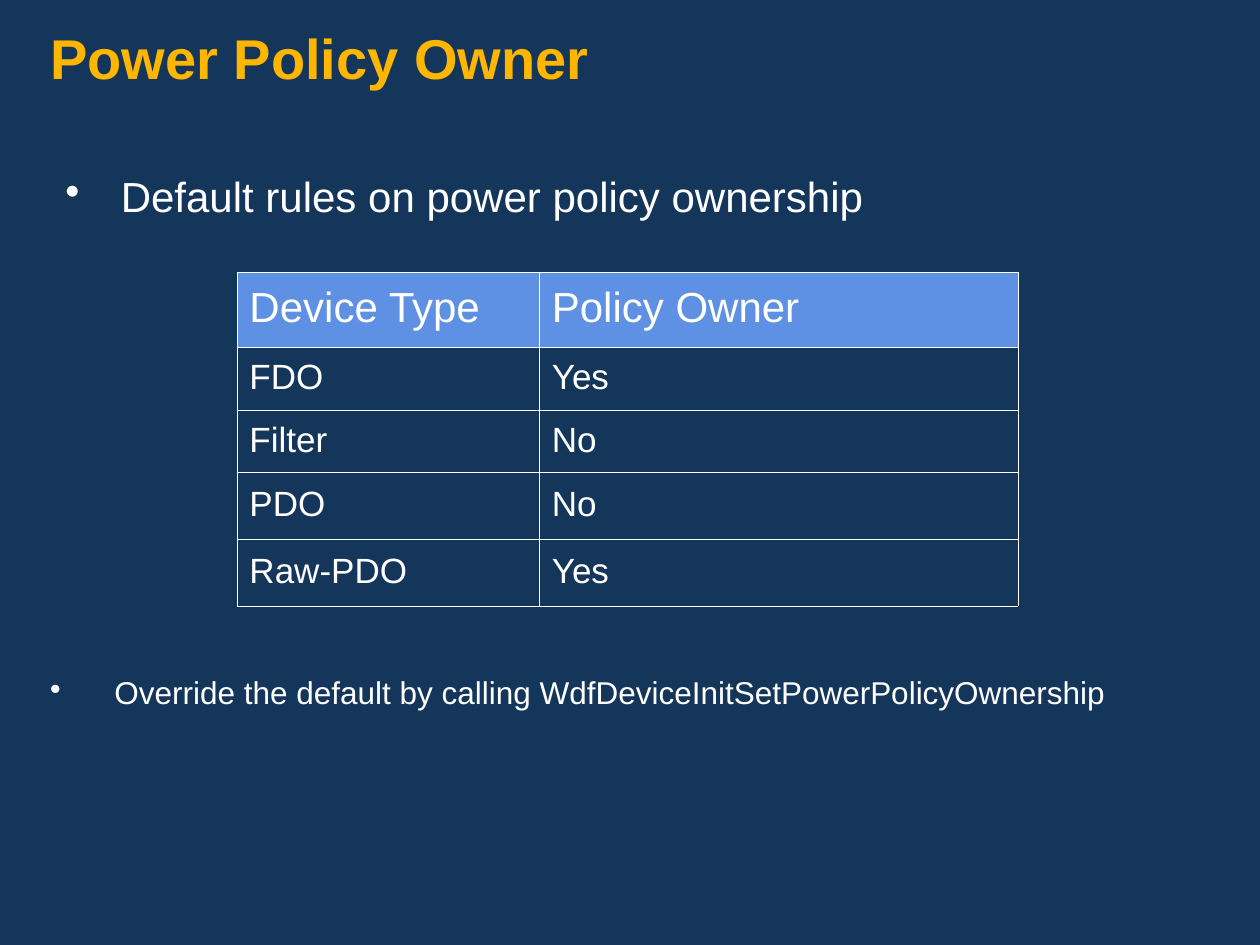
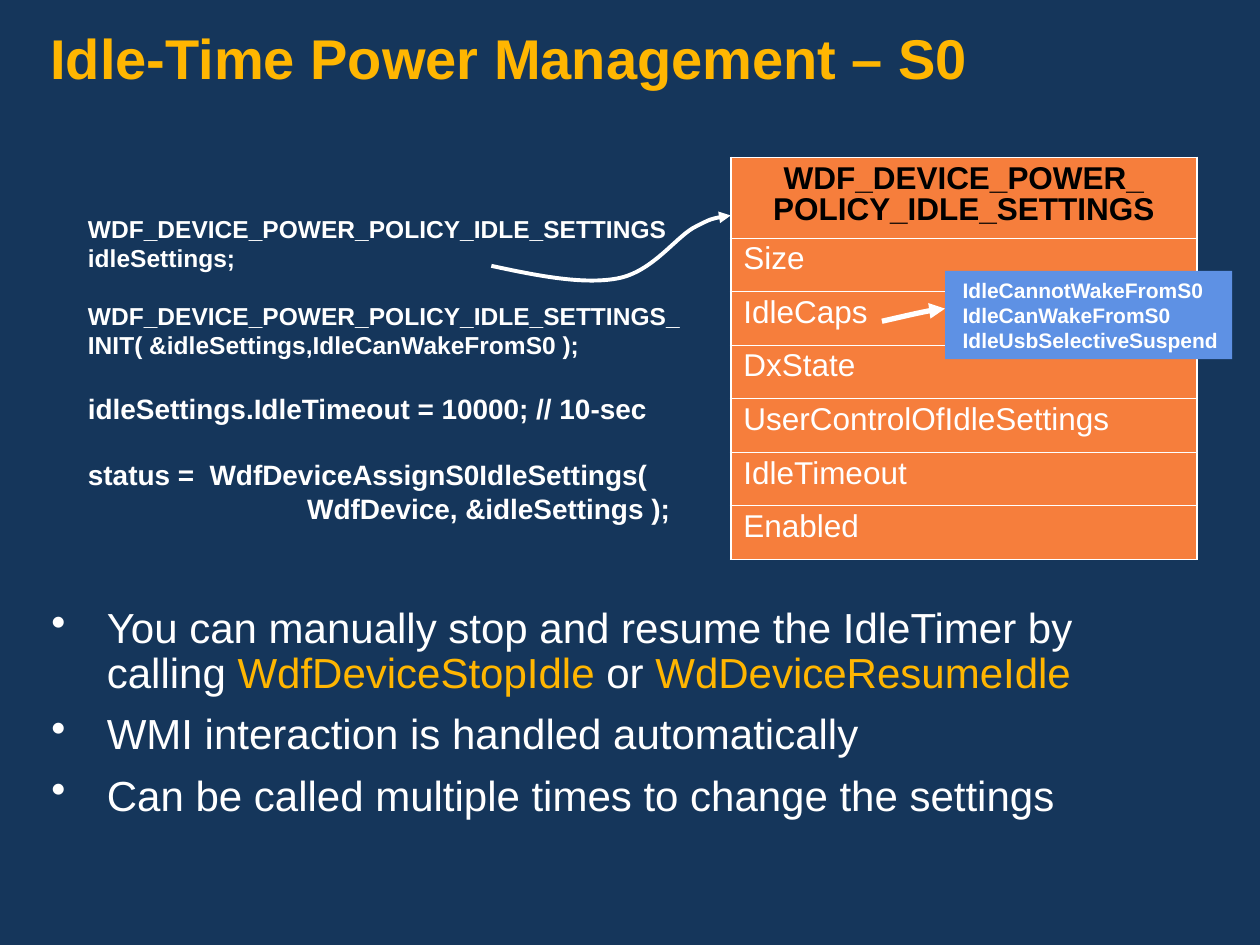
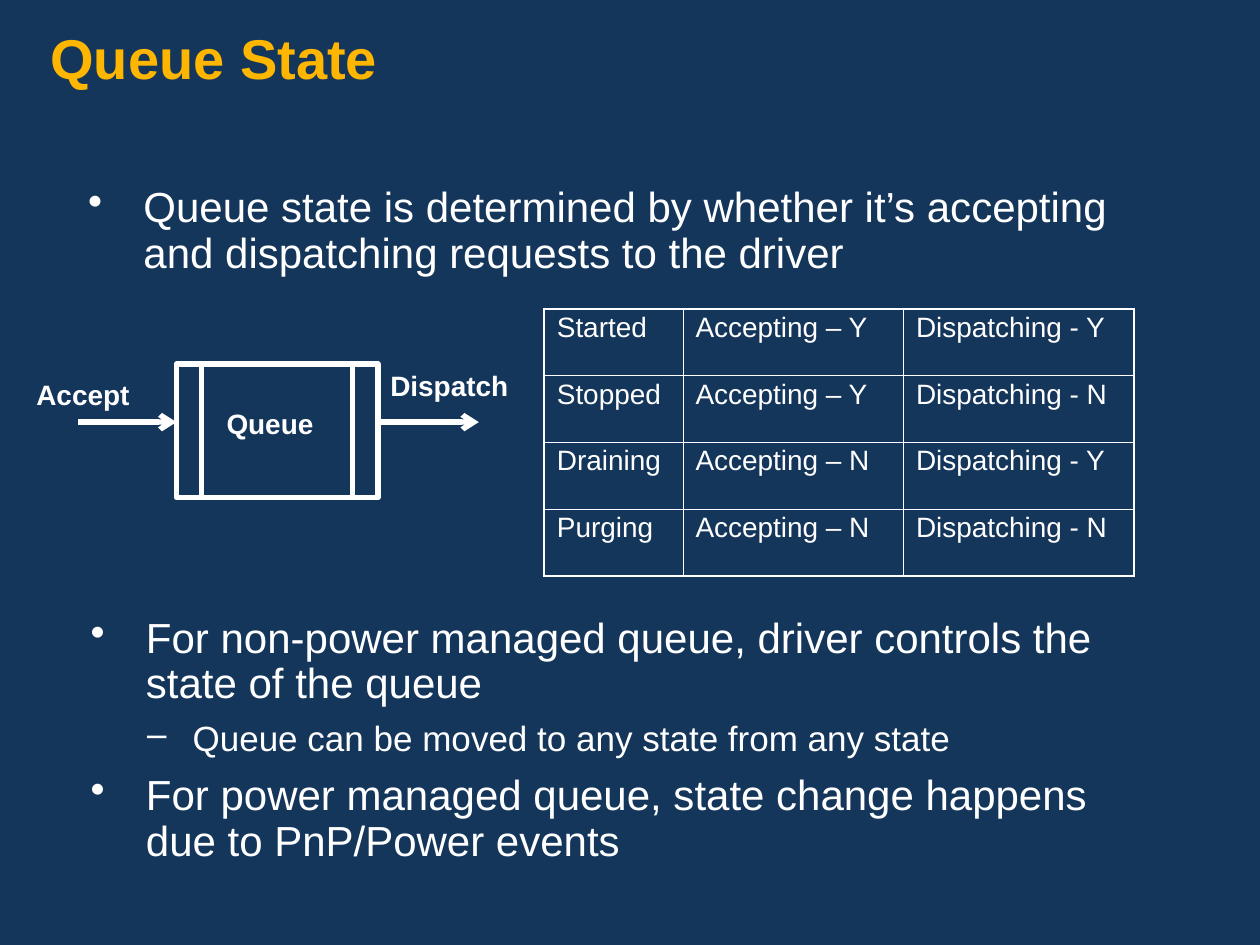
from lxml.etree import SubElement
from pptx import Presentation
from pptx.dml.color import RGBColor
from pptx.enum.shapes import MSO_CONNECTOR as Connector, MSO_SHAPE as Preset
from pptx.enum.text import MSO_ANCHOR as Anchor, PP_ALIGN as Align
from pptx.oxml.ns import qn
from pptx.util import Inches, Pt

# Shared look: a grid of 10 columns by 7.5 rows, one inch each
COLUMNS, ROWS = 10, 7.5
FONT = "Arial"
NAVY, GOLD, WHITE, BLACK = "15365B", "FFB601", "FFFFFF", "000000"
BLUE, ORANGE = "5E91E4", "F67E3C"
THIN, THICK = 0.45, 1.08
INSETS = (0.1, 0.05, 0.1, 0.05)
TIGHT = 0.9


def rgb(color):
    return RGBColor.from_string(color)


def grid(*cells):
    return [Inches(cell) for cell in cells]


# Text
def add_runs(para, spans, size, color=WHITE, bold=False):
    """Spans are one string, or a list of (text, colour) pairs."""
    if isinstance(spans, str):
        spans = [(spans, color)]
    for text, span_color in spans:
        span = para.add_run()
        span.text = text
        span.font.name = FONT
        span.font.size = Pt(size)
        span.font.bold = bold
        span.font.color.rgb = rgb(span_color)


def space(para, before=0.0, line=None):
    para.space_before = Pt(before)
    if line:
        para.line_spacing = line


def indent(para, left, first=0):
    props = para._p.get_or_add_pPr()
    props.set("marL", str(Inches(left)))
    props.set("indent", str(Inches(first)))
    return props


def set_frame(frame, insets=INSETS, anchor=Anchor.TOP):
    frame.word_wrap = True
    frame.vertical_anchor = anchor
    (frame.margin_left, frame.margin_top,
     frame.margin_right, frame.margin_bottom) = grid(*insets)


def add_box(page, area, insets=INSETS):
    frame = page.shapes.add_textbox(*grid(*area)).text_frame
    set_frame(frame, insets)
    return frame


def next_para(frame, index):
    return frame.add_paragraph() if index else frame.paragraphs[0]


def add_bullets(page, area, items, size=24, hang=0.44):
    """Items are (level, spans); level 1 is a smaller dashed line."""
    frame = add_box(page, area)
    for index, (level, spans) in enumerate(items):
        para = next_para(frame, index)
        para.level = level
        item_size = size - 4 * level
        space(para, item_size * 0.375, TIGHT)
        props = indent(para, 0.81, -0.36) if level else indent(para, hang, -hang)
        tint = SubElement(props, qn("a:buClr"))
        SubElement(tint, qn("a:srgbClr")).set("val", WHITE)
        SubElement(props, qn("a:buChar")).set("char", "–" if level else "•")
        add_runs(para, spans, item_size)


def add_label(page, area, text):
    para = add_box(page, area).paragraphs[0]
    space(para, 10)
    add_runs(para, text, 16, bold=True)


def add_code(page, area, lines):
    """Lines are (text, size, gap before, left indent)."""
    frame = add_box(page, area)
    for index, (text, size, gap, left) in enumerate(lines):
        para = next_para(frame, index)
        space(para, gap)
        indent(para, left)
        add_runs(para, text, size, bold=True)


# Tables
def add_borders(cell, widths):
    props = cell._tc.get_or_add_tcPr()
    for side, width in zip("LRTB", widths):
        line = SubElement(props, qn(f"a:ln{side}"), w=str(Pt(width)))
        fill = SubElement(line, qn("a:solidFill"))
        SubElement(fill, qn("a:srgbClr")).set("val", WHITE)


def add_table(page, corner, widths, heights, rows, size, outer=THICK,
              fill=None, header=None, anchor=Anchor.TOP):
    """Header holds the first row's fill, size, colour, weight and alignment."""
    body = (fill, size, WHITE, False, Align.LEFT)
    area = grid(*corner, sum(widths), sum(heights))
    table = page.shapes.add_table(len(rows), len(widths), *area).table
    table.first_row = table.horz_banding = False
    for column, width in zip(table.columns, widths):
        column.width = Inches(width)
    last_row, last_column = len(rows) - 1, len(widths) - 1
    for r, (texts, height) in enumerate(zip(rows, heights)):
        table.rows[r].height = Inches(height)
        look = header if header and r == 0 else body
        cell_fill, cell_size, color, bold, align = look
        for c, text in enumerate(texts):
            cell = table.cell(r, c)
            edges = (c == 0, c == last_column, r == 0, r == last_row)
            add_borders(cell, [outer if edge else THIN for edge in edges])
            if cell_fill:
                cell.fill.solid()
                cell.fill.fore_color.rgb = rgb(cell_fill)
            else:
                cell.fill.background()
            cell.vertical_anchor = anchor
            para = cell.text_frame.paragraphs[0]
            para.alignment = align
            space(para, cell_size * 0.375, TIGHT)
            add_runs(para, text, cell_size, color, bold)


# Lines and shapes
def draw_line(shape, width, head=None):
    shape.line.color.rgb = rgb(WHITE)
    shape.line.width = Pt(width)
    if head:
        line = shape.element.spPr.find(qn("a:ln"))
        SubElement(line, qn("a:tailEnd")).set("type", head)


def add_arrow(page, start, end):
    arrow = page.shapes.add_connector(Connector.STRAIGHT, *grid(*start, *end))
    draw_line(arrow, 3, "arrow")
    SubElement(arrow.element.spPr, qn("a:effectLst"))


def add_curve(page, points, width):
    """Points are the start, then two controls and an end for each bend."""
    start, *rest = [tuple(grid(*point)) for point in points]
    builder = page.shapes.build_freeform(*start)
    builder.add_line_segments(rest, close=False)
    curve = builder.convert_to_shape()
    outline = next(curve.element.iter(qn("a:path")))
    steps = outline.findall(qn("a:lnTo"))
    for first in range(0, len(steps), 3):
        bend = SubElement(outline, qn("a:cubicBezTo"))
        for step in steps[first:first + 3]:
            bend.append(step[0])
            outline.remove(step)
    curve.shadow.inherit = False
    curve.fill.background()
    draw_line(curve, width, "triangle")


def add_callout(page, area, lines):
    shape = page.shapes.add_shape(Preset.RECTANGLE, *grid(*area))
    shape.shadow.inherit = False
    shape.fill.solid()
    shape.fill.fore_color.rgb = rgb(BLUE)
    shape.line.fill.background()
    set_frame(shape.text_frame, (0.14, 0.05, 0.05, 0.05), Anchor.MIDDLE)
    for index, text in enumerate(lines):
        para = next_para(shape.text_frame, index)
        para.alignment = Align.LEFT
        add_runs(para, text, 12, bold=True)


def add_queue(page, area):
    shape = page.shapes.add_shape(Preset.FLOWCHART_PREDEFINED_PROCESS, *grid(*area))
    shape.shadow.inherit = False
    shape.fill.background()
    draw_line(shape, 3)


# Slides
def add_page(deck, title):
    page = deck.slides.add_slide(deck.slide_layouts[6])
    frame = add_box(page, (0, 0, COLUMNS, 0.75), (0.4, 0.25, 0.4, 0.05))
    space(frame.paragraphs[0], line=TIGHT)
    add_runs(frame.paragraphs[0], title, 32, GOLD, bold=True)
    return page


def build_policy_owner(deck):
    page = add_page(deck, "Power Policy Owner")
    add_bullets(page, (0.42, 1.35, 7.98, 0.96),
                [(0, "Default rules on power policy ownership")])
    rows = [("Device Type", "Policy Owner"), ("FDO", "Yes"), ("Filter", "No"),
            ("PDO", "No"), ("Raw-PDO", "Yes")]
    add_table(page, (1.88, 2.16), (2.4, 3.8), (0.6, 0.5, 0.49, 0.53, 0.53),
              rows, 20, outer=THIN, anchor=Anchor.MIDDLE,
              header=(BLUE, 24, WHITE, False, Align.LEFT))
    override = "Override the default by calling WdfDeviceInitSetPowerPolicyOwnership"
    add_bullets(page, (0.3, 5.33, 9, 0.37), [(0, override)], size=18, hang=0.51)


def build_idle_time(deck):
    page = add_page(deck, "Idle-Time Power Management – S0")
    timer_spans = [
        ("You can manually stop and resume the IdleTimer by calling ", WHITE),
        ("WdfDeviceStopIdle", GOLD), (" or ", WHITE), ("WdDeviceResumeIdle", GOLD)]
    add_bullets(page, (0.31, 4.77, 9, 1.79), [
        (0, timer_spans),
        (0, "WMI interaction is handled automatically"),
        (0, "Can be called multiple times to change the settings")])
    add_code(page, (0.6, 1.65, 4.9, 2.6), [
        ("WDF_DEVICE_POWER_POLICY_IDLE_SETTINGS idleSettings;", 14, 0, 0),
        ("WDF_DEVICE_POWER_POLICY_IDLE_SETTINGS_INIT( "
         "&idleSettings,IdleCanWakeFromS0 );", 14, 16, 0),
        ("idleSettings.IdleTimeout = 10000; // 10-sec", 16, 18.4, 0),
        ("status =  WdfDeviceAssignS0IdleSettings(", 16, 18.4, 0),
        ("WdfDevice, &idleSettings );", 16, 0, 1.74)])
    fields = ["WDF_DEVICE_POWER_ POLICY_IDLE_SETTINGS", "Size", "IdleCaps", "DxState",
              "UserControlOfIdleSettings", "IdleTimeout", "Enabled"]
    add_table(page, (5.8, 1.25), [3.7], [0.64] + [0.425] * 6,
              [[field] for field in fields], 18, fill=ORANGE,
              header=(ORANGE, 18, BLACK, True, Align.CENTER))
    add_callout(page, (7.5, 2.15, 2.28, 0.7),
                ["IdleCannotWakeFromS0", "IdleCanWakeFromS0", "IdleUsbSelectiveSuspend"])
    add_curve(page, [(7, 2.55), (7.22, 2.5), (7.43, 2.45), (7.5, 2.45)], 3)
    add_curve(page, [(3.9, 2.11), (4.27, 2.19), (4.63, 2.26), (4.9, 2.21),
                     (5.17, 2.16), (5.35, 1.9), (5.5, 1.81),
                     (5.65, 1.73), (5.72, 1.72), (5.8, 1.71)], 2.24)


def build_queue_state(deck):
    page = add_page(deck, "Queue State")
    add_bullets(page, (0.62, 4.85, 8.48, 2.07), [
        (0, "For non-power managed queue, driver controls the state of the queue"),
        (1, "Queue can be moved to any state from any state"),
        (0, "For power managed queue, state change happens due to PnP/Power events")])
    states = [("Started", "Y", "Y"), ("Stopped", "Y", "N"),
              ("Draining", "N", "Y"), ("Purging", "N", "N")]
    rows = [(state, f"Accepting – {accepts}", f"Dispatching - {dispatches}")
            for state, accepts, dispatches in states]
    add_table(page, (4.32, 2.45), (1.1, 1.75, 1.83), [0.53] * 4, rows, 16)
    add_bullets(page, (0.6, 1.43, 8.48, 0.82), [
        (0, "Queue state is determined by whether it’s accepting "
            "and dispatching requests to the driver")])

    # Queue with its two flows
    left, right, flow = 1.4, 3, 3.35
    add_queue(page, (left, 2.89, right - left, 1.06))
    add_arrow(page, (0.62, flow), (left, flow))
    add_arrow(page, (right, flow), (3.8, flow))
    add_label(page, (1.7, 3.18, 0.9, 0.37), "Queue")
    add_label(page, (right, 2.88, 1.3, 0.37), "Dispatch")
    add_label(page, (0.19, 2.95, 1.01, 0.37), "Accept")


def main():
    deck = Presentation()
    deck.slide_width, deck.slide_height = grid(COLUMNS, ROWS)
    backdrop = deck.slide_master.background.fill
    backdrop.solid()
    backdrop.fore_color.rgb = rgb(NAVY)
    build_policy_owner(deck)
    build_idle_time(deck)
    build_queue_state(deck)
    deck.save("out.pptx")


main()
